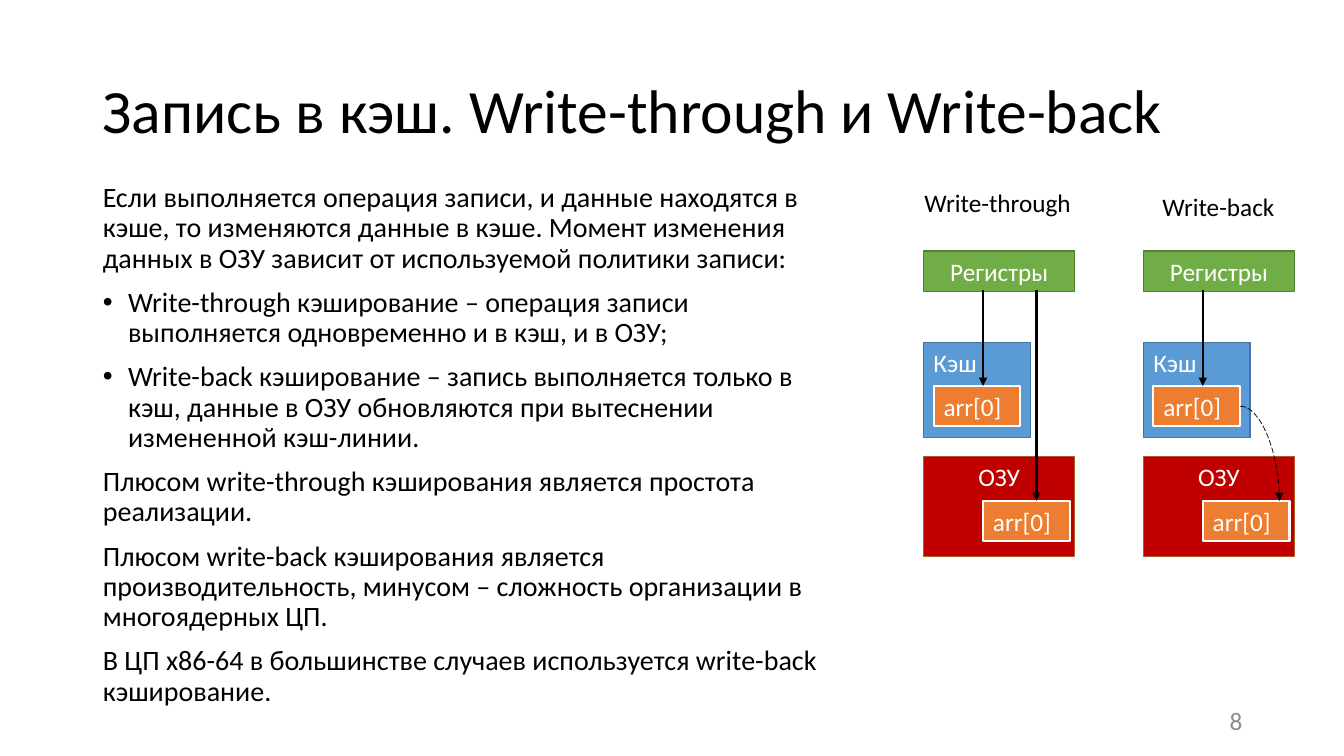
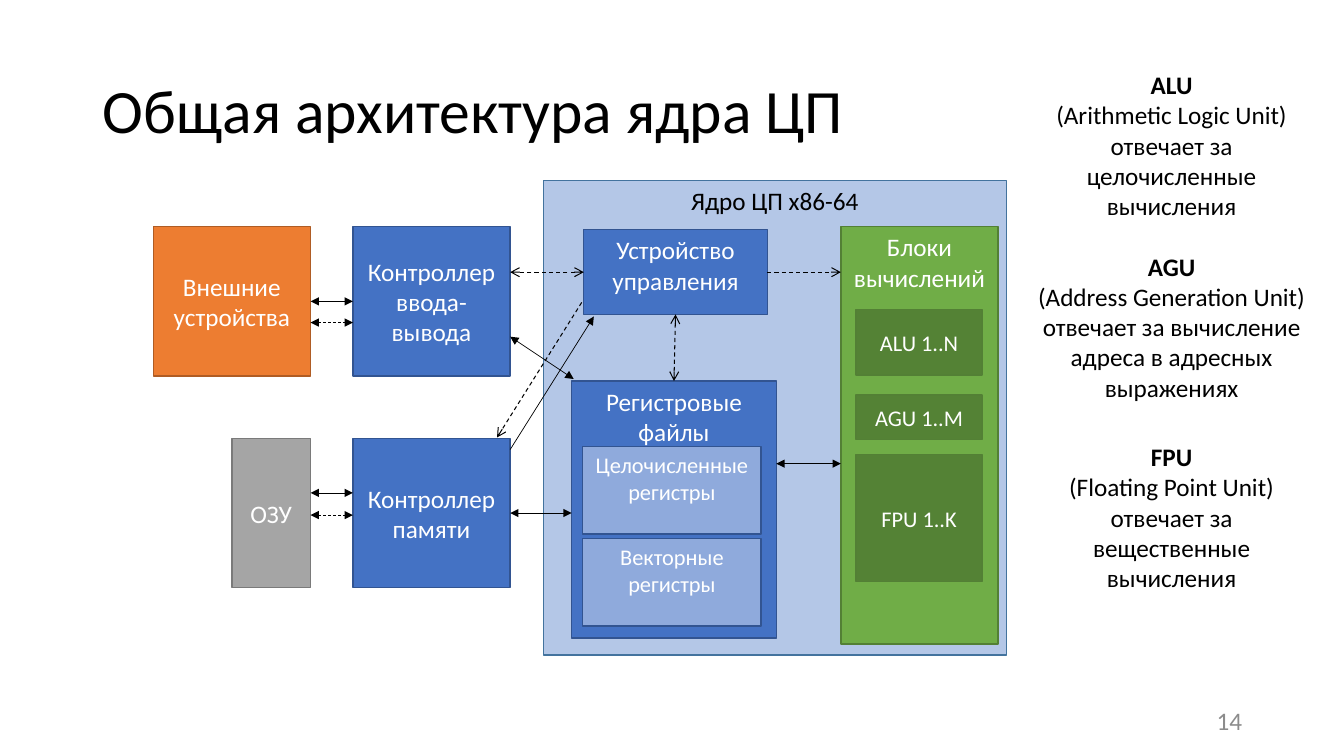
from lxml import etree
from pptx import Presentation
from pptx.dml.color import RGBColor
from pptx.enum.dml import MSO_LINE
from pptx.enum.shapes import MSO_CONNECTOR, MSO_SHAPE
from pptx.enum.text import MSO_ANCHOR, MSO_AUTO_SIZE, PP_ALIGN
from pptx.oxml.ns import qn
from pptx.util import Inches, Pt

# Enum members
RECTANGLE = MSO_SHAPE.RECTANGLE
STRAIGHT, CURVE = MSO_CONNECTOR.STRAIGHT, MSO_CONNECTOR.CURVE
DASH, LONG_DASH = MSO_LINE.DASH, MSO_LINE.LONG_DASH
LEFT, CENTER, RIGHT = PP_ALIGN.LEFT, PP_ALIGN.CENTER, PP_ALIGN.RIGHT
TOP, MIDDLE = MSO_ANCHOR.TOP, MSO_ANCHOR.MIDDLE
FIXED, GROW = MSO_AUTO_SIZE.NONE, MSO_AUTO_SIZE.SHAPE_TO_FIT_TEXT

# Connection sites of a rectangle
TOP_SIDE, LEFT_SIDE, BOTTOM_SIDE, RIGHT_SIDE = range(4)

# Colours
BLACK = RGBColor(0x00, 0x00, 0x00)
WHITE = RGBColor(0xFF, 0xFF, 0xFF)
NUMBER_GRAY = RGBColor(0x8C, 0x8C, 0x8C)
SKY = RGBColor(0x5B, 0x9B, 0xD5)
SKY_EDGE = RGBColor(0x43, 0x73, 0x9E)
PALE_BLUE = RGBColor(0xB4, 0xC7, 0xE7)
BLUE = RGBColor(0x44, 0x72, 0xC4)
LIGHT_BLUE = RGBColor(0x8F, 0xAA, 0xDC)
BLUE_EDGE = RGBColor(0x32, 0x54, 0x91)
GREEN = RGBColor(0x70, 0xAD, 0x47)
DARK_GREEN = RGBColor(0x54, 0x82, 0x35)
GREEN_EDGE = RGBColor(0x53, 0x80, 0x35)
ORANGE = RGBColor(0xED, 0x7D, 0x31)
ORANGE_EDGE = RGBColor(0xAF, 0x5C, 0x24)
RED = RGBColor(0xC0, 0x00, 0x00)
GRAY = RGBColor(0xA5, 0xA5, 0xA5)
GRAY_EDGE = RGBColor(0x7A, 0x7A, 0x7A)


def grid(*cells):
    """Turn columns or rows of the 0.1 inch grid into lengths."""
    return [Inches(cell / 10) for cell in cells]


class Deck:
    """Holds the shared style and the current slide."""

    FONT = "Calibri"
    TITLE_AREA = (9.2, 4, 115, 14.5)
    NUMBER_AREA = (94.2, 69.5, 30, 4)
    TITLE_LAYOUT, BODY_LAYOUT = 5, 1

    def __init__(self):
        self.presentation = Presentation()
        self.presentation.slide_width = Inches(13.33)
        self.presentation.slide_height = Inches(7.5)
        self.slide = None

    def style(self, paragraph, size=18, color=BLACK, align=LEFT):
        paragraph.alignment = align
        paragraph.font.name = self.FONT
        paragraph.font.size = Pt(size)
        paragraph.font.color.rgb = color

    def place(self, shape, area):
        shape.left, shape.top, shape.width, shape.height = grid(*area)

    def start(self, title, number, layout=TITLE_LAYOUT):
        layouts = self.presentation.slide_layouts
        self.slide = self.presentation.slides.add_slide(layouts[layout])
        shape = self.slide.shapes.title
        self.place(shape, self.TITLE_AREA)
        frame = shape.text_frame
        frame.text = title
        frame.auto_size = FIXED
        frame.vertical_anchor = MIDDLE
        frame.paragraphs[0].line_spacing = 0.9
        self.style(frame.paragraphs[0], 44)
        self.text(self.NUMBER_AREA, str(number), NUMBER_GRAY, RIGHT, MIDDLE)

    def body(self, area, items):
        """Fill the body placeholder with (text, has_bullet) pairs."""
        shape = self.slide.placeholders[1]
        self.place(shape, area)
        frame = shape.text_frame
        frame.text = "\n".join(text for text, _ in items)
        frame.auto_size = FIXED
        for index, paragraph in enumerate(frame.paragraphs):
            has_bullet = items[index][1]
            paragraph.line_spacing = 0.9
            paragraph.space_before = Pt(10 if index else 0)
            properties = paragraph._p.get_or_add_pPr()
            indent = Inches(0.25) if has_bullet else 0
            properties.set("marL", str(indent))
            properties.set("indent", str(-indent))
            if has_bullet:
                font = etree.SubElement(properties, qn("a:buFont"))
                font.set("typeface", "Arial")
                bullet = etree.SubElement(properties, qn("a:buChar"))
                bullet.set("char", "•")
            else:
                etree.SubElement(properties, qn("a:buNone"))
            self.style(paragraph, 20)

    def text(self, area, text, color=BLACK, align=LEFT, anchor=TOP):
        shape = self.slide.shapes.add_textbox(*grid(*area))
        frame = shape.text_frame
        frame.text = text
        frame.vertical_anchor = anchor
        self.style(frame.paragraphs[0], 18, color, align)

    def definition(self, area, term, expansion, meaning):
        """Write a bold term with its expansion and meaning below."""
        frame = self.slide.shapes.add_textbox(*grid(*area)).text_frame
        frame.word_wrap = True
        frame.auto_size = GROW
        heading = frame.paragraphs[0]
        term_run = heading.add_run()
        term_run.text = term
        term_run.font.bold = True
        heading.add_line_break()
        heading.add_run().text = expansion
        frame.add_paragraph().text = meaning
        for paragraph in frame.paragraphs:
            self.style(paragraph, align=CENTER)

    def box(self, area, text, fill, edge, anchor=MIDDLE, align=CENTER,
            size=18, color=WHITE, weight=1):
        shape = self.slide.shapes.add_shape(RECTANGLE, *grid(*area))
        shape.shadow.inherit = False
        shape.fill.solid()
        shape.fill.fore_color.rgb = fill
        shape.line.color.rgb = edge
        shape.line.width = Pt(weight)
        frame = shape.text_frame
        frame.text = text
        frame.word_wrap = True
        frame.vertical_anchor = anchor
        self.style(frame.paragraphs[0], size, color, align)
        return shape

    def arrow(self, start, end, head=None, tail=None, weight=0.5, dash=None,
              kind=STRAIGHT):
        """Join two ends, each a (column, row) point or a (shape, side)."""
        connector = self.slide.shapes.add_connector(kind, 0, 0, 0, 0)
        if hasattr(start[0], "shape_id"):
            connector.begin_connect(*start)
        else:
            connector.begin_x, connector.begin_y = grid(*start)
        if hasattr(end[0], "shape_id"):
            connector.end_connect(*end)
        else:
            connector.end_x, connector.end_y = grid(*end)
        connector.line.color.rgb = BLACK
        connector.line.width = Pt(weight)
        if dash is not None:
            connector.line.dash_style = dash
        properties = connector._element.spPr
        line = properties.find(qn("a:ln"))
        for tag, arrowhead in (("a:headEnd", head), ("a:tailEnd", tail)):
            if arrowhead:
                etree.SubElement(line, qn(tag)).set("type", arrowhead)
        etree.SubElement(properties, qn("a:effectLst"))
        if kind == CURVE:
            # A single quarter bend
            properties.find(qn("a:prstGeom")).set("prst", "curvedConnector2")

    def both_ways(self, start, end, dash=None):
        self.arrow(start, end, "triangle", "triangle", dash=dash)

    def control(self, start, end, head=None):
        self.arrow(start, end, head, "arrow", 0.75, DASH)


def memory_levels(deck, left):
    """Draw registers, cache and memory with the arrow into the cache."""
    cell_style = dict(fill=ORANGE, edge=WHITE, align=LEFT, weight=1.5)
    deck.box((left, 34, 10.6, 9.4), "Кэш", SKY, SKY_EDGE, TOP, LEFT)
    deck.box((left, 24.9, 15, 4), "Регистры", GREEN, GREEN_EDGE)
    deck.box((left, 45.3, 15, 9.9), "ОЗУ", RED, ORANGE_EDGE, TOP)
    for column, row in ((left + 1, 38.3), (left + 5.9, 49.7)):
        deck.box((column, row, 8.6, 4), "arr[0]", **cell_style)
    deck.arrow((left + 5.9, 28.8), (left + 5.9, 38.3),
               tail="triangle", weight=1.5)


def cache_write_slide(deck):
    deck.start("Запись в кэш. Write-through и Write-back", 8, deck.BODY_LAYOUT)
    deck.body((9.2, 17.7, 73.5, 55), [
        ("Если выполняется операция записи, и данные находятся в кэше, то "
         "изменяются данные в кэше. Момент изменения данных в ОЗУ зависит от "
         "используемой политики записи:", False),
        ("Write-through кэширование – операция записи выполняется "
         "одновременно и в кэш, и в ОЗУ;", True),
        ("Write-back кэширование – запись выполняется только в кэш, данные в "
         "ОЗУ обновляются при вытеснении измененной кэш-линии.", True),
        ("Плюсом write-through кэширования является простота реализации.",
         False),
        ("Плюсом write-back кэширования является производительность, "
         "минусом – сложность организации в многоядерных ЦП.", False),
        ("В ЦП х86-64 в большинстве случаев используется write-back "
         "кэширование.", False),
    ])

    # Write-through goes to the cache and to memory at once
    through, back = 91.6, 113.4
    memory_levels(deck, through)
    deck.arrow((through + 11.2, 28.8), (through + 11.2, 49.7),
               tail="triangle", weight=1.5)
    deck.text((90.7, 18.1, 16.7, 4), "Write-through")

    # Write-back reaches memory later, from the cache
    memory_levels(deck, back)
    deck.arrow((back + 9.6, 40.3), (back + 13.5, 49.7), tail="triangle",
               dash=LONG_DASH, kind=CURVE)
    deck.text((114.3, 18.5, 13.2, 4), "Write-back")


def core_slide(deck):
    deck.start("Общая архитектура ядра ЦП", 14)

    # Core and its parts
    deck.box((53.9, 17.9, 45.9, 47.1), "Ядро ЦП x86-64", PALE_BLUE, SKY_EDGE,
             TOP, color=BLACK)
    deck.box((83.4, 22.5, 15.6, 41.4), "Блоки вычислений", GREEN, GREEN_EDGE,
             TOP)
    registers = deck.box((56.7, 37.8, 20.3, 25.5), "Регистровые файлы", BLUE,
                         BLUE_EDGE, TOP)
    control_unit = deck.box((57.9, 22.8, 18.2, 8.4), "Устройство управления",
                            BLUE, BLUE_EDGE, TOP)
    for row, height, text in ((30.7, 6.5, "ALU 1..N"), (39.2, 4.4, "AGU 1..M"),
                              (45.1, 12.6, "FPU 1..K")):
        deck.box((84.9, row, 12.5, height), text, DARK_GREEN, GREEN_EDGE,
                 size=16)
    for row, text in ((44.3, "Целочисленные регистры"),
                      (53.4, "Векторные регистры")):
        deck.box((57.8, row, 17.7, 8.7), text, LIGHT_BLUE, BLUE_EDGE, TOP,
                 size=16)

    # Controllers, devices and memory
    io_controller, memory_controller = [
        deck.box((35, row, 15.6, 14.8), text, BLUE, BLUE_EDGE)
        for row, text in ((22.5, "Контроллер ввода-вывода"),
                          (43.5, "Контроллер памяти"))]
    devices = deck.box((15.2, 22.5, 15.6, 14.8), "Внешние устройства", ORANGE,
                       ORANGE_EDGE)
    deck.box((23, 43.5, 7.8, 14.8), "ОЗУ", GRAY, GRAY_EDGE)

    # Data paths
    deck.both_ways((devices, RIGHT_SIDE), (io_controller, LEFT_SIDE))
    deck.both_ways((30.8, 48.9), (35, 48.9))
    for row in (32, 51.1):
        deck.both_ways((30.8, row), (35, row), DASH)
    deck.both_ways((50.6, 33.4), (56.9, 37.6))
    deck.both_ways((56.7, 50.9), (memory_controller, RIGHT_SIDE))
    deck.both_ways((77, 46), (83.4, 46))
    deck.arrow((58.9, 31.4), (50.6, 44.6), head="triangle")

    # Control paths
    deck.control((control_unit, RIGHT_SIDE), (83.4, 27))
    deck.control((control_unit, LEFT_SIDE), (50.6, 27), "arrow")
    deck.control((control_unit, BOTTOM_SIDE), (registers, TOP_SIDE), "arrow")
    deck.control((57.7, 30), (49.3, 43.4))

    # Explanations of the units
    for row, height, term, expansion, meaning in (
            (6.4, 16.2, "ALU", "(Arithmetic Logic Unit)",
             "отвечает за целочисленные вычисления"),
            (24.4, 19.2, "AGU", "(Address Generation Unit)",
             "отвечает за вычисление адреса в адресных выражениях"),
            (43.3, 19.2, "FPU", "(Floating Point Unit)",
             "отвечает за вещественные вычисления")):
        deck.definition((101.6, row, 29.2, height), term, expansion, meaning)


def main():
    deck = Deck()
    cache_write_slide(deck)
    core_slide(deck)
    deck.presentation.save("out.pptx")


if __name__ == "__main__":
    main()
